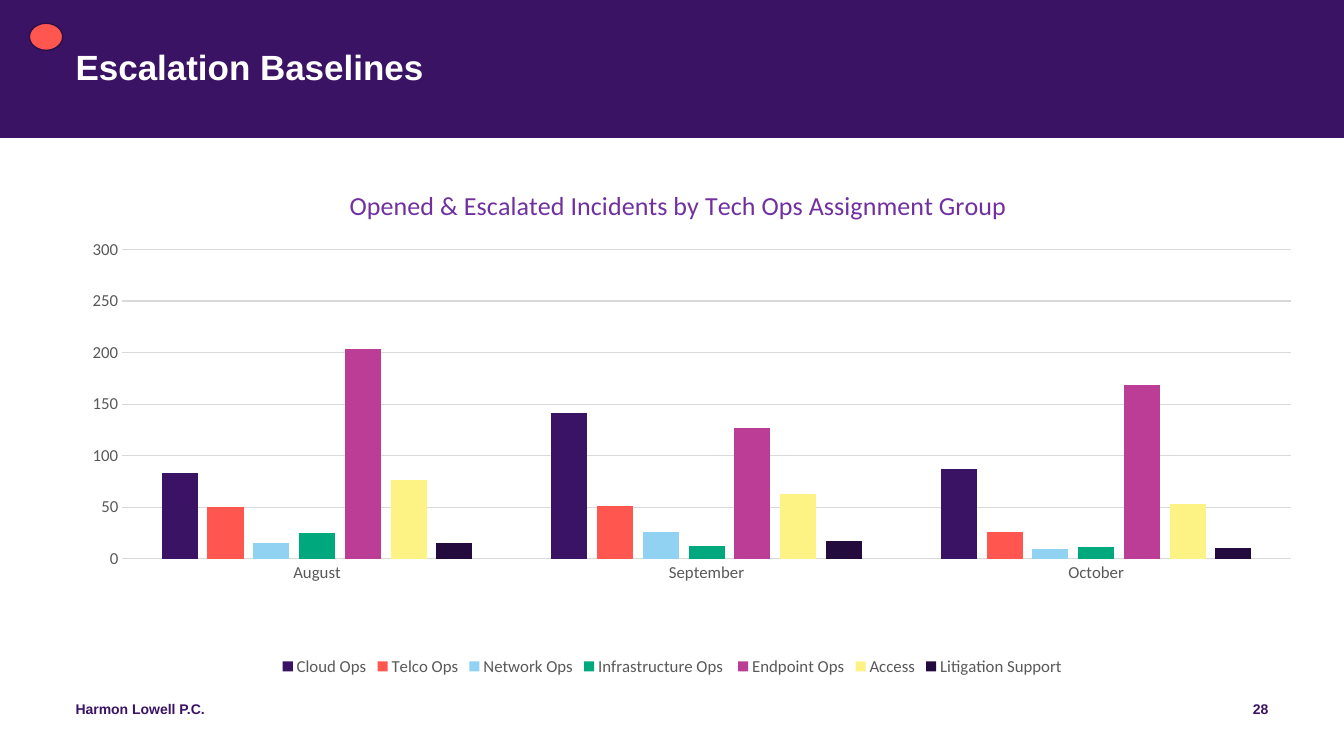
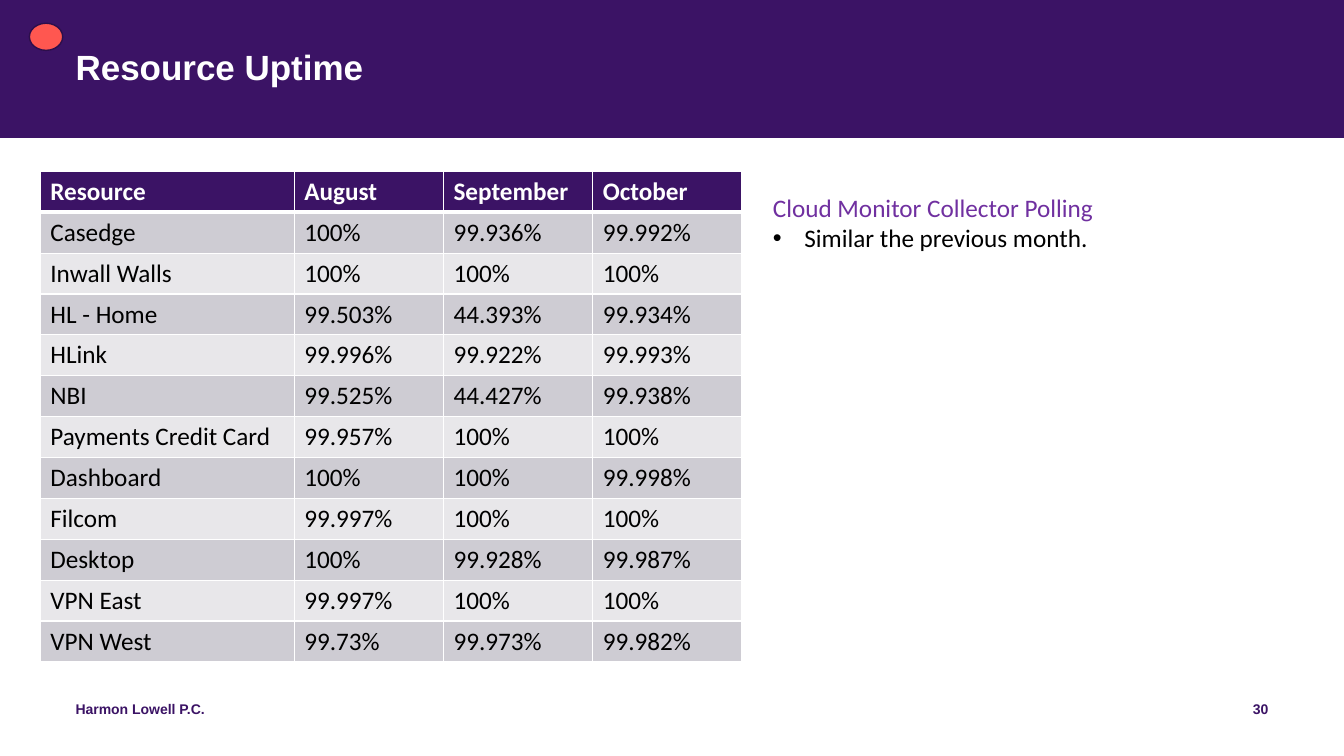
from lxml.etree import SubElement
from pptx import Presentation
from pptx.chart.data import CategoryChartData
from pptx.dml.color import RGBColor
from pptx.enum.chart import XL_CHART_TYPE as CHART, XL_LEGEND_POSITION as LEGEND, XL_TICK_MARK as TICK
from pptx.enum.shapes import MSO_SHAPE as SHAPE
from pptx.enum.text import MSO_ANCHOR as ANCHOR, MSO_AUTO_SIZE as AUTO, PP_ALIGN as ALIGN
from pptx.oxml import parse_xml
from pptx.oxml.ns import nsdecls, qn
from pptx.util import Pt

COLORS = {
    "purple": "3B1365", "coral": "FF5750", "sky": "91D2F2", "green": "00A87E",
    "magenta": "BC3D95", "yellow": "FDF385", "night": "230B3D", "outline": "2C0E4B",
    "violet": "7030A0", "white": "FFFFFF", "black": "000000", "label": "595959",
    "grid": "D9D9D9", "odd": "CECCD3", "even": "E8E7EA",
}
HEAD, BODY = "Arial", "Calibri"
FOOTER = "Harmon Lowell P.C."
MONTHS = ("August", "September", "October")

INCIDENTS = (
    ("Cloud Ops", "purple", (83, 141, 87)),
    ("Telco Ops", "coral", (50, 51, 26)),
    ("Network Ops", "sky", (15, 26, 9)),
    ("Infrastructure Ops ", "green", (25, 12, 11)),
    ("Endpoint Ops", "magenta", (203, 127, 169)),
    ("Access", "yellow", (76, 63, 53)),
    ("Litigation Support", "night", (15, 17, 10)),
)
UPTIME = (
    ("Resource", *MONTHS),
    ("Casedge", "100%", "99.936%", "99.992%"),
    ("Inwall Walls", "100%", "100%", "100%"),
    ("HL - Home", "99.503%", "44.393%", "99.934%"),
    ("HLink", "99.996%", "99.922%", "99.993%"),
    ("NBI", "99.525%", "44.427%", "99.938%"),
    ("Payments Credit Card", "99.957%", "100%", "100%"),
    ("Dashboard", "100%", "100%", "99.998%"),
    ("Filcom", "99.997%", "100%", "100%"),
    ("Desktop", "100%", "99.928%", "99.987%"),
    ("VPN East", "99.997%", "100%", "100%"),
    ("VPN West", "99.73%", "99.973%", "99.982%"),
)


def rgb(name):
    return RGBColor.from_string(COLORS[name])


def box(*lengths):
    return [Pt(v) for v in lengths]


class Deck:
    """Hold the shared style and the current slide."""

    def __init__(self):
        self.prs = Presentation()
        self.prs.slide_width, self.prs.slide_height = box(960, 540)

    def font(self, font, size, color, bold=False, name=BODY):
        font.name, font.size, font.bold = name, Pt(size), bold
        font.color.rgb = rgb(color)

    def slide(self, title, number):
        self.s = self.prs.slides.add_slide(self.prs.slide_layouts[5])
        band = self.shape(SHAPE.RECTANGLE, (0, 0, 960, 98.6), "purple")
        self.s.shapes.element.insert(2, band.element)
        self.title(title)
        self.footer(FOOTER, 54, 324, ALIGN.LEFT)
        self.footer(str(number), 690, 216, ALIGN.RIGHT)

    def shape(self, kind, at, fill, line=None):
        sp = self.s.shapes.add_shape(kind, *box(*at))
        sp.shadow.inherit = False
        sp.fill.solid()
        sp.fill.fore_color.rgb = rgb(fill)
        if line:
            sp.line.color.rgb = rgb(line)
            sp.line.width = Pt(1)
        else:
            sp.line.fill.background()
        return sp

    def badge(self):
        self.shape(SHAPE.OVAL, (21, 16.6, 23.8, 19.4), "coral", "outline")

    def frame(self, sp):
        tf = sp.text_frame
        tf.word_wrap = True
        tf.auto_size = AUTO.NONE
        tf.vertical_anchor = ANCHOR.TOP
        tf.margin_left = tf.margin_top = tf.margin_right = tf.margin_bottom = 0
        return tf

    def title(self, text):
        sp = self.s.shapes.title
        sp.left, sp.top, sp.width, sp.height = box(54, 36, 852, 58)
        tf = self.frame(sp)
        tf.text = text
        p = tf.paragraphs[0]
        p.alignment, p.line_spacing = ALIGN.LEFT, 0.9
        self.font(p.font, 25, "white", True, HEAD)

    def footer(self, text, left, width, align):
        tf = self.frame(self.s.shapes.add_textbox(*box(left, 500.4, width, 28.8)))
        tf.text = text
        p = tf.paragraphs[0]
        p.alignment = align
        self.font(p.font, 10, "purple", True, HEAD)

    def note(self, heading, bullets, at):
        tf = self.s.shapes.add_textbox(*box(*at)).text_frame
        tf.word_wrap = True
        tf.text = heading
        self.font(tf.paragraphs[0].font, 18, "violet")
        for text in bullets:
            p = tf.add_paragraph()
            p.text = text
            self.font(p.font, 18, "black")
            pPr = p._p.get_or_add_pPr()
            pPr.set("marL", str(Pt(22.5)))
            pPr.set("indent", str(-Pt(22.5)))
            pPr.insert(0, parse_xml(f'<a:buChar {nsdecls("a")} char="•"/>'))
            pPr.insert(0, parse_xml(f'<a:buFont {nsdecls("a")} typeface="Arial"/>'))

    def layout(self, parent, **values):
        old = parent.find(qn("c:layout"))
        if old is not None:
            parent.remove(old)
        items = "".join(f'<c:{k} val="{v}"/>' for k, v in values.items())
        node = parse_xml(f'<c:layout {nsdecls("c")}><c:manualLayout>{items}</c:manualLayout></c:layout>')
        tx = parent.find(qn("c:tx"))
        parent.insert(0 if tx is None else 1, node)

    def chart(self, title, cats, series, at):
        data = CategoryChartData()
        data.categories = cats
        for name, _, values in series:
            data.add_series(name, values)
        chart = self.s.shapes.add_chart(CHART.COLUMN_CLUSTERED, *box(*at), data).chart
        self.font(chart.font, 12, "label")

        tf = chart.chart_title.text_frame
        tf.text = title
        self.font(tf.paragraphs[0].font, 18.6, "violet")
        chart.chart_title.include_in_layout = False
        self.layout(chart.chart_title._element, xMode="edge", yMode="edge", x=0.247, y=0.05)

        chart.has_legend = True
        chart.legend.position = LEGEND.BOTTOM
        chart.legend.include_in_layout = False

        plot = chart.plots[0]
        plot.gap_width, plot.overlap, plot.vary_by_categories = 219, -27, False
        for ser, (_, color, _) in zip(plot.series, series):
            ser.invert_if_negative = False
            ser.format.fill.solid()
            ser.format.fill.fore_color.rgb = rgb(color)

        cat, val = chart.category_axis, chart.value_axis
        for axis in (cat, val):
            axis.major_tick_mark = axis.minor_tick_mark = TICK.NONE
            self.font(axis.tick_labels.font, 12, "label")
        val.minimum_scale, val.maximum_scale, val.major_unit = 0, 300, 50
        val.format.line.fill.background()
        for line in (cat.format.line, val.major_gridlines.format.line):
            line.color.rgb = rgb("grid")
            line.width = Pt(0.75)
        self.layout(chart._chartSpace.chart.plotArea, layoutTarget="inner", xMode="edge",
                    yMode="edge", x=0.075, y=0.178, w=0.903, h=0.59)

    def borders(self, cell, **widths):
        tcPr = cell._tc.get_or_add_tcPr()
        for side in "LRTB":
            ln = SubElement(tcPr, qn(f"a:ln{side}"), w=str(Pt(widths.get(side, 1))))
            SubElement(SubElement(ln, qn("a:solidFill")), qn("a:srgbClr"), val=COLORS["white"])

    def table(self, rows, left, top, widths, height):
        at = box(left, top, sum(widths), height * len(rows))
        table = self.s.shapes.add_table(len(rows), len(widths), *at).table
        for col, width in zip(table.columns, widths):
            col.width = Pt(width)
        for i, row in enumerate(rows):
            table.rows[i].height = Pt(height)
            fill = "purple" if i == 0 else ("even", "odd")[i % 2]
            for j, text in enumerate(row):
                cell = table.cell(i, j)
                self.borders(cell, T=3 if i == 1 else 1, B=3 if i == 0 else 1)
                cell.fill.solid()
                cell.fill.fore_color.rgb = rgb(fill)
                cell.text = text
                p = cell.text_frame.paragraphs[0]
                self.font(p.font, 18, "black" if i else "white", i == 0)

    def save(self):
        self.prs.save("out.pptx")


def main():
    deck = Deck()
    deck.slide("Escalation Baselines", 28)
    deck.chart("Opened & Escalated Incidents by Tech Ops Assignment Group",
               MONTHS, INCIDENTS, (18, 111.6, 924.5, 374.4))
    deck.badge()

    deck.slide("Resource Uptime", 30)
    deck.table(UPTIME, 28.8, 122.4, (181.4, 106.6, 106.6, 106.6), 29.2)
    deck.note("Cloud Monitor Collector Polling", ["Similar the previous month."],
              (545, 134, 361, 51))
    deck.badge()
    deck.save()


if __name__ == "__main__":
    main()
